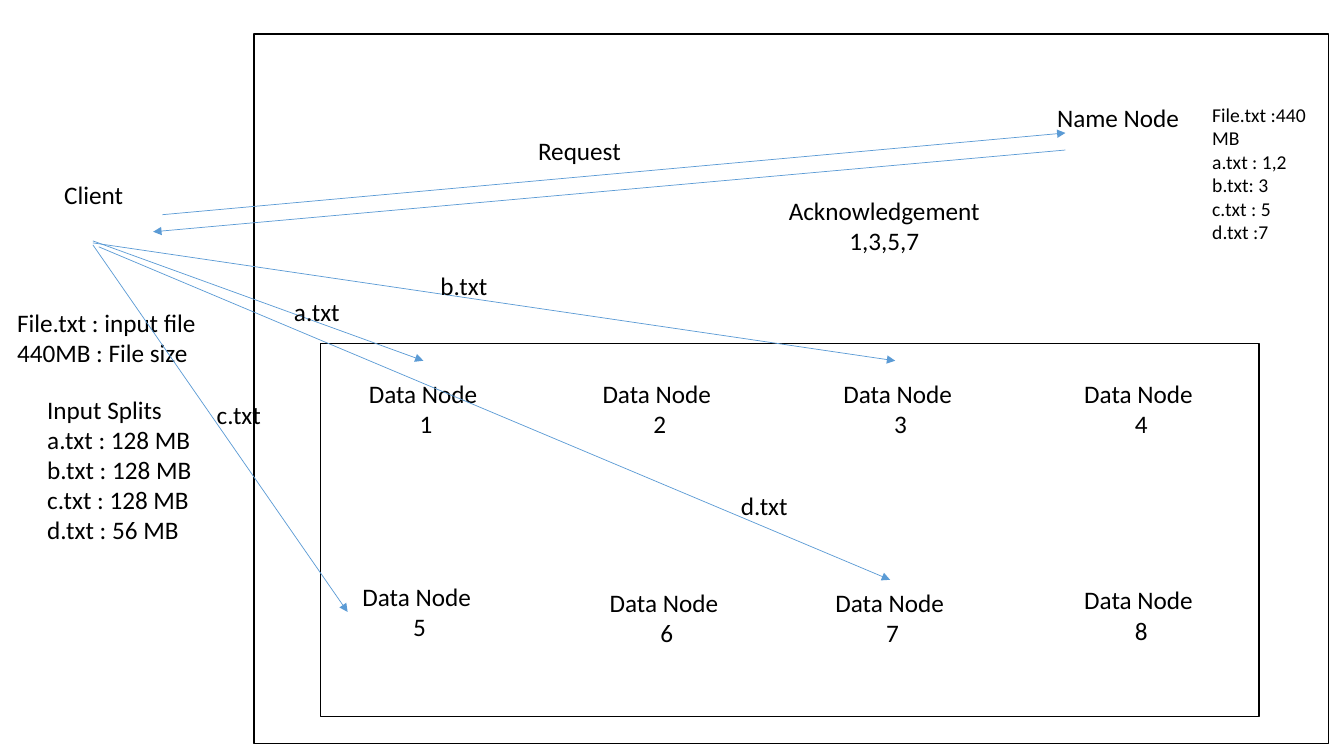
from lxml import etree
from pptx import Presentation
from pptx import util as u
from pptx.dml.color import RGBColor
from pptx.enum import shapes, text
from pptx.oxml.ns import qn

BLACK = RGBColor(0x00, 0x00, 0x00)
WHITE = RGBColor(0xFF, 0xFF, 0xFF)
BLUE = RGBColor(0x5B, 0x9B, 0xD5)
CENTER = text.PP_ALIGN.CENTER
LEFT = text.PP_ALIGN.LEFT

deck = Presentation()
deck.slide_width, deck.slide_height = u.Cm(33.87), u.Cm(19.05)
page = deck.slides.add_slide(deck.slide_layouts[6])


def add_text(left, top, width, height, lines, align=LEFT, size=18):
    box = page.shapes.add_textbox(u.Cm(left), u.Cm(top), u.Cm(width), u.Cm(height))
    frame = box.text_frame
    frame.word_wrap = True
    frame.auto_size = text.MSO_AUTO_SIZE.SHAPE_TO_FIT_TEXT
    for index, line in enumerate(lines):
        para = frame.add_paragraph() if index else frame.paragraphs[0]
        para.alignment = align
        span = para.add_run()
        span.text = line
        span.font.name = "Calibri"
        span.font.size = u.Pt(size)
        span.font.color.rgb = BLACK


def add_arrow(start_x, start_y, end_x, end_y):
    arrow = page.shapes.add_connector(
        shapes.MSO_CONNECTOR.STRAIGHT,
        u.Cm(start_x), u.Cm(start_y), u.Cm(end_x), u.Cm(end_y))
    arrow.line.color.rgb = BLUE
    arrow.line.width = u.Pt(0.5)
    etree.SubElement(arrow.line._get_or_add_ln(), qn("a:tailEnd"), type="triangle")
    etree.SubElement(arrow._element.spPr, qn("a:effectLst"))


# Cluster frame and data node frame
for bounds in [(6.4, 0.86, 27.08, 17.88), (8.08, 8.66, 23.65, 9.4)]:
    frame_box = page.shapes.add_shape(
        shapes.MSO_SHAPE.RECTANGLE, *[u.Cm(length) for length in bounds])
    frame_box.shadow.inherit = False
    frame_box.fill.solid()
    frame_box.fill.fore_color.rgb = WHITE
    frame_box.line.color.rgb = BLACK
    frame_box.line.width = u.Pt(1)

# Data nodes 1 to 8
node_places = [(8.92, 9.4), (14.81, 9.4), (20.88, 9.4), (26.95, 9.4),
               (8.76, 14.53), (14.99, 14.68), (20.68, 14.68), (26.95, 14.61)]
for number, (left, top) in enumerate(node_places, start=1):
    add_text(left, top, 3.63, 1.8, ["Data Node ", str(number)], CENTER)

# Name node and its block map
add_text(26.39, 2.46, 3.91, 1.02, ["Name Node"])
add_text(30.3, 2.46, 3.18, 3.84,
         ["File.txt :440 MB", "a.txt : 1,2", "b.txt: 3", "c.txt : 5", "d.txt :7"],
         size=14)

# Client, its file and the input splits
add_text(1.37, 4.39, 2.59, 1.02, ["Client"])
add_text(0.18, 7.62, 5.64, 1.8, ["File.txt : input file", "440MB : File size"])
add_text(0.94, 9.8, 4.19, 4.11,
         ["Input Splits", "a.txt : 128 MB", "b.txt : 128 MB", "c.txt : 128 MB",
          "d.txt : 56 MB"])

# Request and acknowledgement
add_arrow(4.09, 5.41, 26.85, 3.35)
add_text(13.31, 3.28, 3.3, 1.02, ["Request"])
add_arrow(26.85, 3.78, 3.86, 5.84)
add_text(19.35, 4.8, 5.87, 1.8, ["Acknowledgement 1,3,5,7"], CENTER)

# Splits sent from the client to the data nodes
transfers = [
    ("a.txt", (2.34, 6.07, 10.67, 9.09), (7.16, 7.34)),
    ("b.txt", (2.34, 6.12, 22.56, 9.09), (10.85, 6.68)),
    ("c.txt", (2.34, 6.17, 8.76, 15.42), (5.21, 9.93)),
    ("d.txt", (2.49, 6.22, 22.43, 14.61), (18.42, 12.24)),
]
for split, ends, (left, top) in transfers:
    add_arrow(*ends)
    add_text(left, top, 2.18, 1.02, [split])

deck.save("out.pptx")
